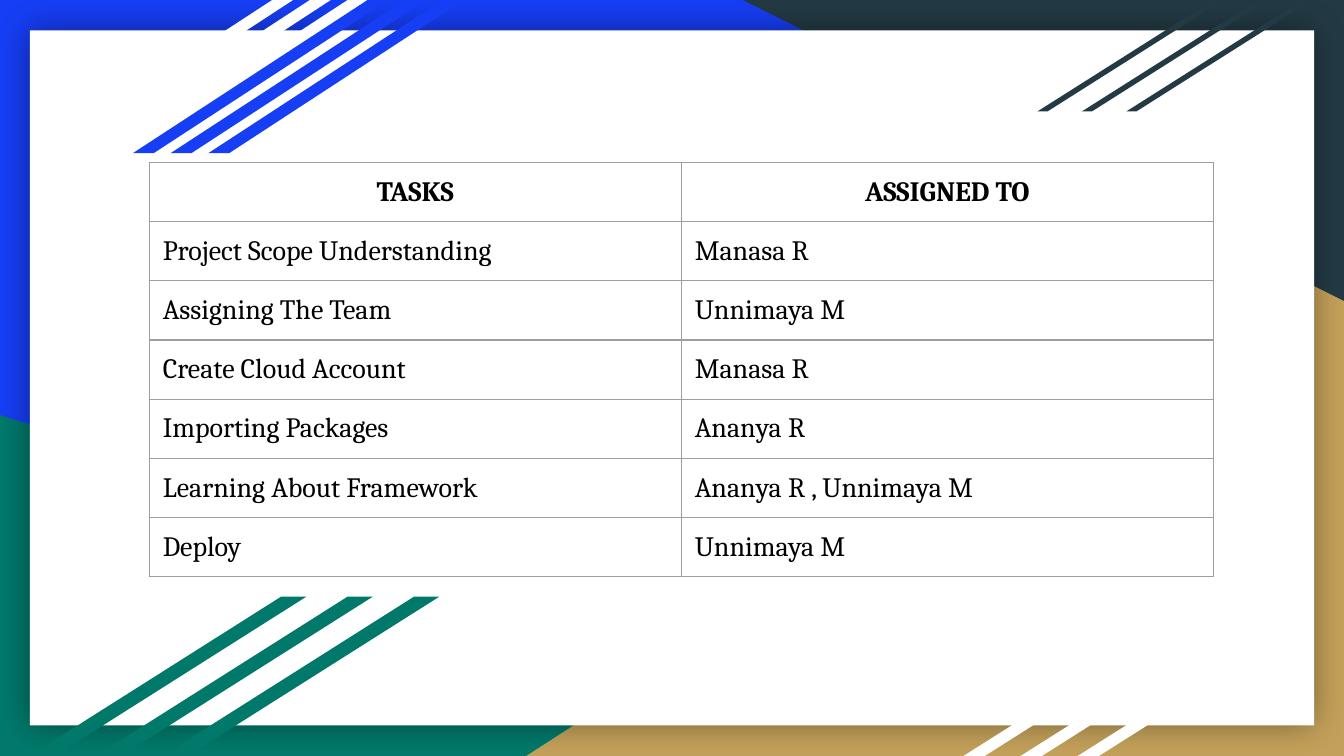
from lxml import etree
from pptx import Presentation
from pptx.dml.color import RGBColor
from pptx.enum.shapes import MSO_SHAPE as Kind
from pptx.enum.text import PP_ALIGN as Align
from pptx.oxml import parse_xml
from pptx.oxml.ns import nsdecls, qn
from pptx.util import Pt

BLUE = RGBColor(0x16, 0x3E, 0xF5)
GREEN = RGBColor(0x00, 0x79, 0x6B)
GOLD = RGBColor(0xC4, 0xA1, 0x5A)
DARK = RGBColor(0x23, 0x3A, 0x44)
WHITE = RGBColor(0xFF, 0xFF, 0xFF)
BLACK = RGBColor(0x00, 0x00, 0x00)
GREY = RGBColor(0x9E, 0x9E, 0x9E)

# Stripe sets: left, top, width, height, step, slant, colour
STRIPES = [
    (20.2, 0, 136.8, 82, 20.2, 1.532, WHITE),
    (71.3, 0, 136.8, 82, 20.2, 1.532, BLUE),
    (555.8, 0.7, 98.6, 59, 23.8, 1.58, DARK),
    (516.2, 332, 126.7, 73, 30.6, 1.58, WHITE),
    (15.8, 319.7, 148.3, 85.3, 35.6, 1.58, GREEN),
]

ROWS = [
    ("TASKS", "ASSIGNED TO"),
    ("Project Scope Understanding", "Manasa R"),
    ("Assigning The Team", "Unnimaya M"),
    ("Create Cloud Account", "Manasa R"),
    ("Importing Packages", "Ananya R"),
    ("Learning About Framework", "Ananya R , Unnimaya M"),
    ("Deploy", "Unnimaya M"),
]


def add_block(shapes, kind, box, color):
    block = shapes.add_shape(kind, *map(Pt, box))
    block.shadow.inherit = False
    block.fill.solid()
    block.fill.fore_color.rgb = color
    block.line.fill.background()
    return block


def add_panel(shapes):
    panel = add_block(shapes, Kind.RECTANGLE, (16, 16.3, 688, 372.4), WHITE)
    # Soft shadow on all sides
    glow = panel._element.spPr.find(qn("a:effectLst"))
    glow.append(parse_xml(
        f'<a:outerShdw {nsdecls("a")} blurRad="{Pt(18)}" dist="0" dir="0" '
        f'algn="ctr" rotWithShape="0"><a:srgbClr val="{BLACK}">'
        '<a:alpha val="40000"/></a:srgbClr></a:outerShdw>'))


def add_stripes(shapes, left, top, width, height, step, slant, color):
    group = shapes.add_group_shape()
    for i in (2, 1, 0):
        box = (left + i * step, top, width, height)
        bar = add_block(group.shapes, Kind.PARALLELOGRAM, box, color)
        bar.adjustments[0] = slant


def set_edges(cell):
    props = cell._tc.get_or_add_tcPr()
    for i, side in enumerate("LRTB"):
        edge = etree.Element(qn(f"a:ln{side}"), w=str(Pt(0.75)))
        fill = etree.SubElement(edge, qn("a:solidFill"))
        etree.SubElement(fill, qn("a:srgbClr"), val=str(GREY))
        props.insert(i, edge)


def fill_cell(cell, text, head):
    cell.fill.background()
    set_edges(cell)
    cell.margin_left = cell.margin_right = Pt(7.2)
    cell.margin_top = cell.margin_bottom = Pt(7.2)
    cell.text_frame.text = text
    para = cell.text_frame.paragraphs[0]
    para.alignment = Align.CENTER if head else Align.LEFT
    font = para.runs[0].font
    font.name = "Cambria"
    font.size = Pt(15)
    font.bold = head
    font.color.rgb = BLACK


def add_tasks(shapes):
    frame = shapes.add_table(len(ROWS), 2, Pt(80), Pt(87), Pt(570), Pt(30.2 * len(ROWS)))
    table = frame.table
    table.first_row = table.horz_banding = False
    for r, row in enumerate(ROWS):
        for c, text in enumerate(row):
            fill_cell(table.cell(r, c), text, r == 0)


def main():
    deck = Presentation()
    deck.slide_width, deck.slide_height = Pt(720), Pt(405)
    slide = deck.slides.add_slide(deck.slide_layouts[6])
    shapes = slide.shapes

    # Backdrop
    slide.background.fill.solid()
    slide.background.fill.fore_color.rgb = BLUE
    add_block(shapes, Kind.RIGHT_TRIANGLE, (0, 222.4, 580.4, 182.6), GREEN)
    gold = add_block(shapes, Kind.RIGHT_TRIANGLE, (282, 122.2, 438, 282.8), GOLD)
    gold._element.spPr.find(qn("a:xfrm")).set("flipH", "1")
    dark = add_block(shapes, Kind.RIGHT_TRIANGLE, (398, 0, 322, 161.2), DARK)
    dark.rotation = 180
    add_panel(shapes)

    # Corner stripes
    for stripe in STRIPES:
        add_stripes(shapes, *stripe)

    # Task table
    add_tasks(shapes)
    deck.save("out.pptx")


if __name__ == "__main__":
    main()
